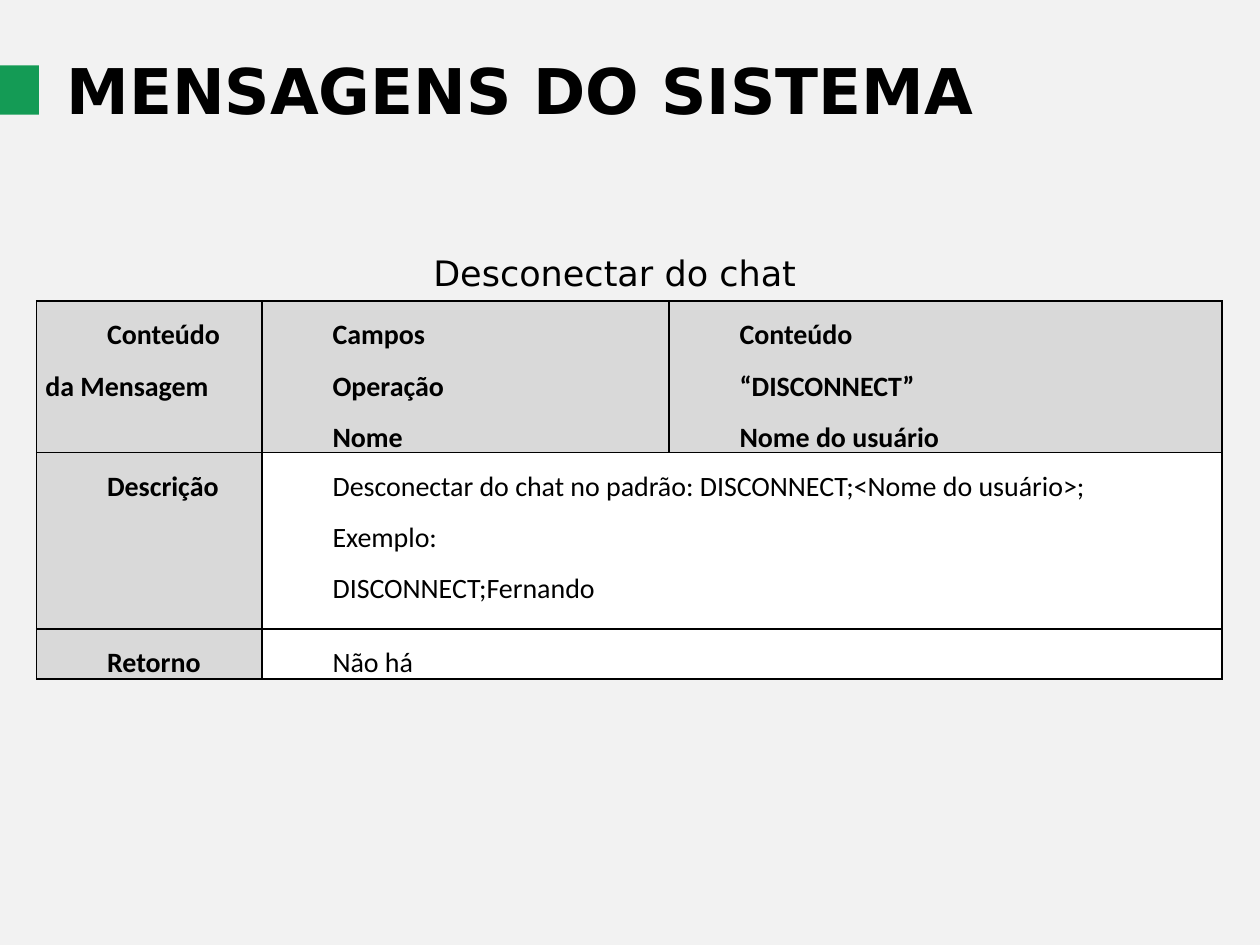
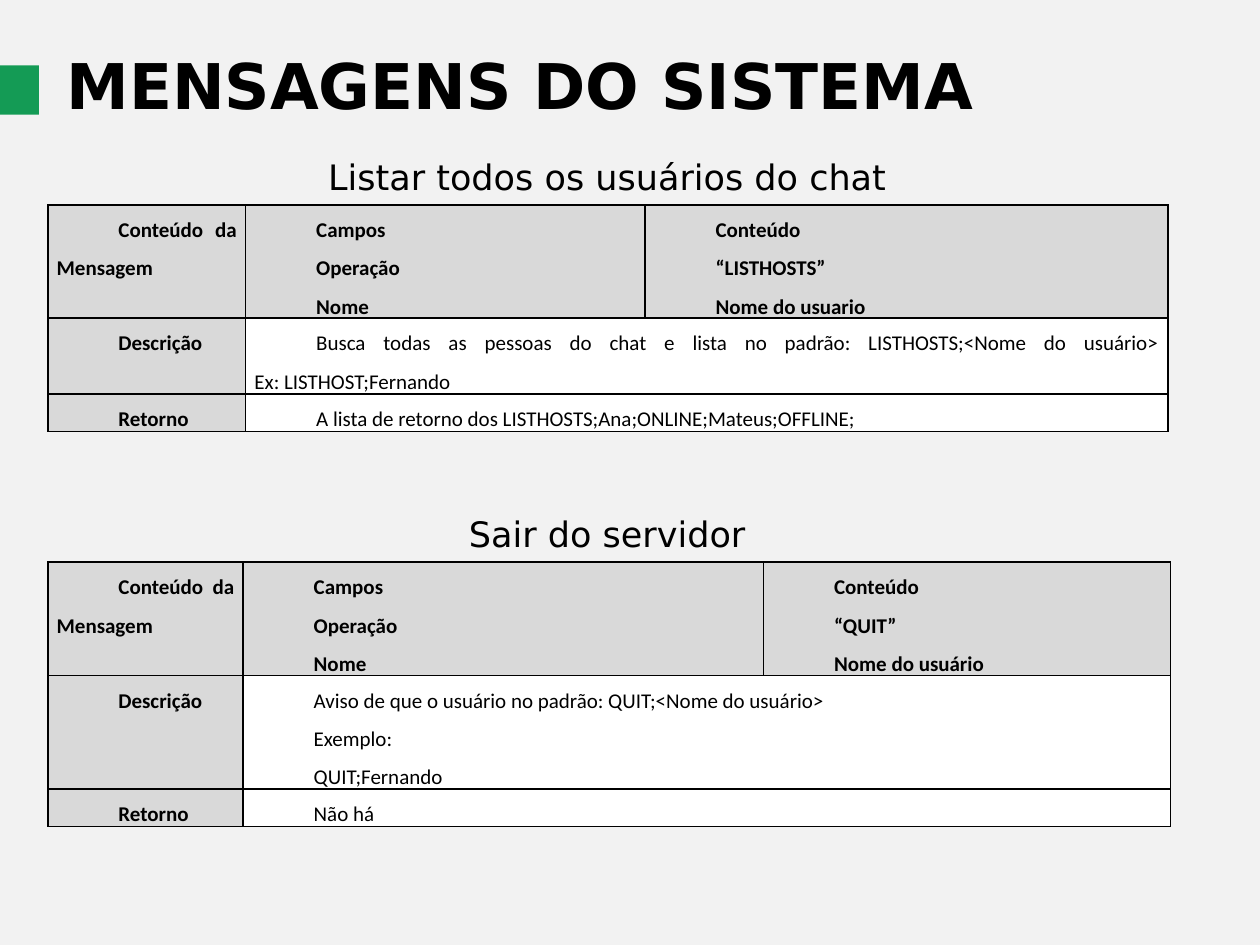
from lxml import etree
from pptx import Presentation
from pptx.dml.color import RGBColor
from pptx.enum.shapes import MSO_SHAPE
from pptx.enum.text import MSO_AUTO_SIZE, PP_ALIGN
from pptx.oxml.ns import qn
from pptx.util import Inches, Pt

RECTANGLE = MSO_SHAPE.RECTANGLE
GROW = MSO_AUTO_SIZE.SHAPE_TO_FIT_TEXT
LEFT, CENTER, JUSTIFY = PP_ALIGN.LEFT, PP_ALIGN.CENTER, PP_ALIGN.JUSTIFY

COLORS = {"background": "F2F2F2", "accent": "149B55", "text": "000000",
          "label": "D9D9D9", "value": "FFFFFF", "border": "000000"}
TITLE_FONT, TABLE_FONT = "DejaVu Sans", "Calibri"
TITLE = "MENSAGENS DO SISTEMA"
FIELDS = ["Campos", "Operação", "Nome"]

# Content: horizontal and vertical places are percentages of the slide,
# row heights are counted in text lines
SLIDES = [
    {"title_top": 4.8, "caption_left": 5.1, "messages": [
        {"caption": "Desconectar do chat",
         "left": 2.9, "top": 31.87, "columns": [17.9, 32.3, 43.9],
         "lines": [3, 3.5, 1], "size": 16, "align": LEFT,
         "content": ["Conteúdo", "“DISCONNECT”", "Nome do usuário"],
         "description": [
             "Desconectar do chat no padrão: DISCONNECT;<Nome do usuário>;",
             "Exemplo:", "DISCONNECT;Fernando"],
         "reply": "Não há"},
    ]},
    {"title_top": 4.27, "caption_left": 4.5, "messages": [
        {"caption": "Listar todos os usuários do chat",
         "left": 3.8, "top": 21.67, "columns": [15.7, 31.7, 41.5],
         "lines": [3, 2, 1], "size": 12, "align": JUSTIFY,
         "content": ["Conteúdo", "“LISTHOSTS”", "Nome do usuario"],
         "description": [
             "Busca todas as pessoas do chat e lista no padrão: "
             "LISTHOSTS;<Nome do usuário>\nEx: LISTHOST;Fernando"],
         "reply": "A lista de retorno dos LISTHOSTS;Ana;ONLINE;Mateus;OFFLINE;"},
        {"caption": "Sair do servidor",
         "left": 3.8, "top": 59.47, "columns": [15.5, 41.3, 32.3],
         "lines": [3, 3, 1], "size": 12, "align": JUSTIFY,
         "content": ["Conteúdo", "“QUIT”", "Nome do usuário"],
         "description": [
             "Aviso de que o usuário no padrão: QUIT;<Nome do usuário>",
             "Exemplo:", "QUIT;Fernando"],
         "reply": "Não há"},
    ]},
]

presentation = Presentation()
presentation.slide_width, presentation.slide_height = Inches(10), Inches(7.5)


def across(percent):
    return round(presentation.slide_width * percent / 100)


def down(percent):
    return round(presentation.slide_height * percent / 100)


def color(name):
    return RGBColor.from_string(COLORS[name])


def set_font(paragraph, name, size, bold):
    font = paragraph.font
    font.name, font.size, font.bold = name, Pt(size), bold
    font.color.rgb = color("text")


def add_text(slide, text, box, size, bold=False, align=LEFT):
    frame = slide.shapes.add_textbox(*box).text_frame
    frame.word_wrap = True
    frame.auto_size = GROW
    paragraph = frame.paragraphs[0]
    paragraph.text, paragraph.alignment = text, align
    set_font(paragraph, TITLE_FONT, size, bold)


# Shared background, green marker and title
def add_base(title_top):
    slide = presentation.slides.add_slide(presentation.slide_layouts[6])
    slide.background.fill.solid()
    slide.background.fill.fore_color.rgb = color("background")
    add_text(slide, TITLE, (across(4.3), down(title_top), across(78.8), down(9.47)),
             36, bold=True)
    marker = slide.shapes.add_shape(RECTANGLE, across(-0.4), down(6.93),
                                    across(3.5), down(5.2))
    marker.shadow.inherit = False
    marker.fill.solid()
    marker.fill.fore_color.rgb = color("accent")
    marker.line.fill.background()
    return slide


def add_borders(cell):
    properties = cell._tc.get_or_add_tcPr()
    for side in ("a:lnL", "a:lnR", "a:lnT", "a:lnB"):
        line = etree.SubElement(properties, qn(side), w=str(Pt(1)))
        fill = etree.SubElement(line, qn("a:solidFill"))
        etree.SubElement(fill, qn("a:srgbClr"), val=COLORS["border"])


def style_cell(cell, fill):
    add_borders(cell)
    cell.fill.solid()
    cell.fill.fore_color.rgb = color(fill)
    cell.margin_left = cell.margin_right = Inches(0.07)
    cell.margin_top = cell.margin_bottom = 0


def fill_cell(cell, texts, size, bold, align):
    frame = cell.text_frame
    for index, text in enumerate(texts):
        paragraph = frame.add_paragraph() if index else frame.paragraphs[0]
        paragraph.text, paragraph.alignment = text, align
        paragraph.line_spacing = 1.5
        properties = paragraph._p.get_or_add_pPr()
        properties.set("marL", "0")
        properties.set("indent", str(Inches(0.49)))
        set_font(paragraph, TABLE_FONT, size, bold)


# One message: a caption resting on its table
def add_message(slide, message, caption_left):
    top, size = down(message["top"]), message["size"]
    caption_height = down(5.87)
    add_text(slide, message["caption"],
             (across(caption_left), top - caption_height, across(87.4), caption_height),
             20, align=CENTER)

    rows = [[["Conteúdo da Mensagem"], FIELDS, message["content"]],
            [["Descrição"], message["description"], []],
            [["Retorno"], [message["reply"]], []]]
    line_height = down(size / 3)
    widths = [across(percent) for percent in message["columns"]]
    heights = [round(count * line_height) for count in message["lines"]]
    table = slide.shapes.add_table(len(rows), len(widths), across(message["left"]), top,
                                   sum(widths), sum(heights)).table
    table.first_row = table.horz_banding = False
    for column, width in zip(table.columns, widths):
        column.width = width
    for row, height in zip(table.rows, heights):
        row.height = height
    for row_index, row in enumerate(rows):
        if row_index:
            table.cell(row_index, 1).merge(table.cell(row_index, 2))
        for column_index, texts in enumerate(row):
            cell = table.cell(row_index, column_index)
            is_label = row_index == 0 or column_index == 0
            style_cell(cell, "label" if is_label else "value")
            fill_cell(cell, texts, size, is_label, message["align"])


for content in SLIDES:
    slide = add_base(content["title_top"])
    for message in content["messages"]:
        add_message(slide, message, content["caption_left"])

presentation.save("out.pptx")
